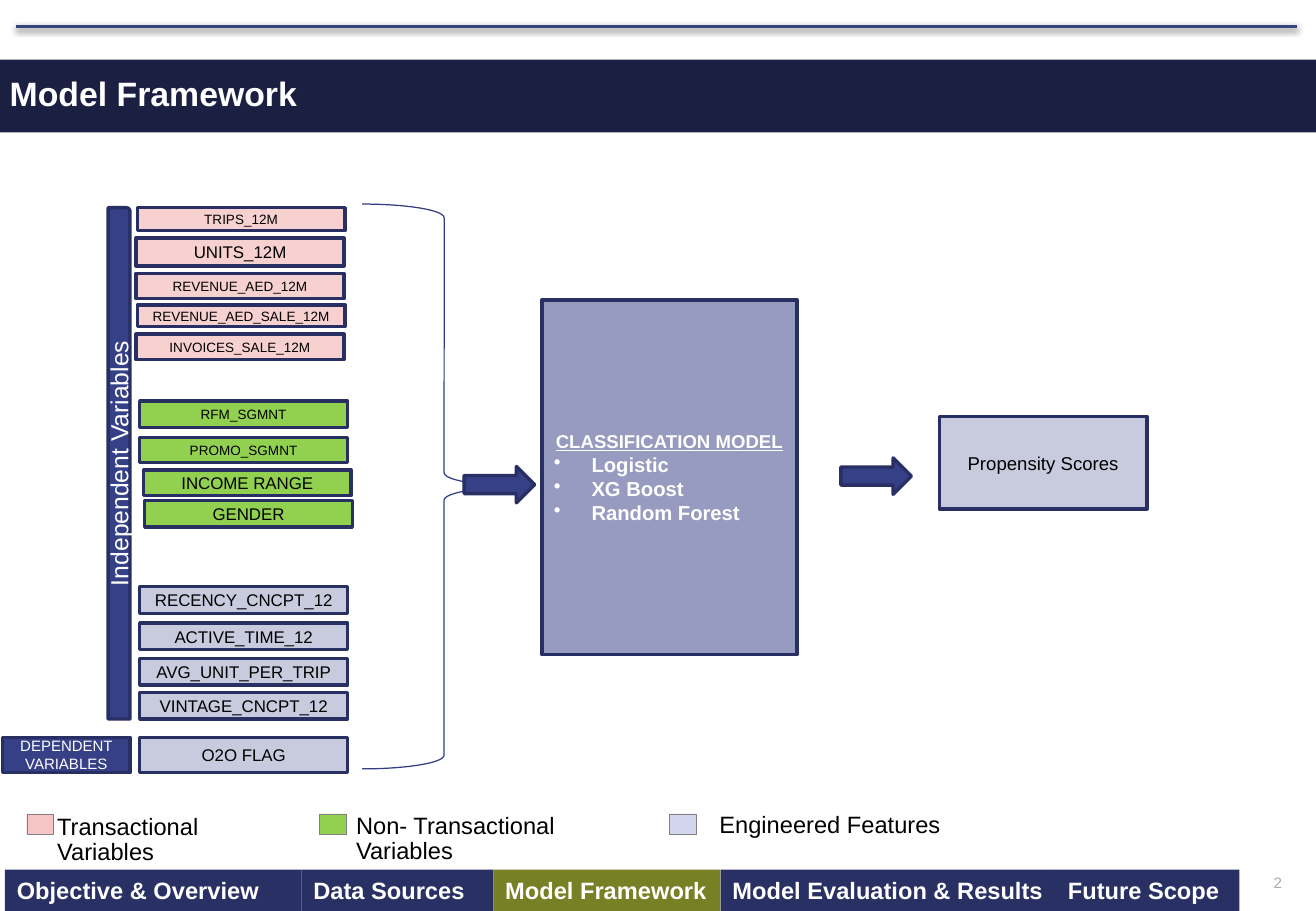
from pptx import Presentation
from pptx.dml.color import RGBColor
from pptx.enum.shapes import MSO_CONNECTOR as LINK, MSO_SHAPE as KIND
from pptx.enum.text import MSO_ANCHOR as ANCHOR, PP_ALIGN as ALIGN
from pptx.oxml import parse_xml
from pptx.oxml.ns import nsdecls
from pptx.util import Inches, Pt

WHITE = RGBColor(0xFF, 0xFF, 0xFF)
BLACK = RGBColor(0, 0, 0)
GRAY = RGBColor(0x80, 0x80, 0x80)
PALE = RGBColor(0xAD, 0xAB, 0xA1)
NIGHT = RGBColor(0x1B, 0x20, 0x43)
NAVY = RGBColor(0x29, 0x30, 0x64)
EDGE = RGBColor(0x28, 0x2F, 0x63)
BLUE = RGBColor(0x36, 0x40, 0x86)
BRACE = RGBColor(0x33, 0x3D, 0x85)
RULE = RGBColor(0x35, 0x47, 0x7A)
OLIVE = RGBColor(0x77, 0x80, 0x25)
RED = RGBColor(0xE5, 0x52, 0x52)
GREEN = RGBColor(0x92, 0xD0, 0x50)
PINK = RGBColor(0xF6, 0xC5, 0xC5)
LILAC = RGBColor(0xD1, 0xD5, 0xED)

# Fill, opacity in percent, then rows: name, left, top, height, text size
GROUPS = [
    (RED, 27, [
        ("TRIPS_12M", 1.13, 1.71, 0.19, 8),
        ("UNITS_12M", 1.12, 1.96, 0.23, 10),
        ("REVENUE_AED_12M", 1.12, 2.25, 0.21, 8),
        ("REVENUE_AED_SALE_12M", 1.13, 2.51, 0.18, 8),
        ("INVOICES_SALE_12M", 1.12, 2.75, 0.21, 8),
    ]),
    (GREEN, 100, [
        ("RFM_SGMNT", 1.15, 3.3, 0.22, 8),
        ("PROMO_SGMNT", 1.15, 3.6, 0.21, 8),
        ("INCOME RANGE", 1.18, 3.87, 0.21, 10),
        ("GENDER", 1.19, 4.12, 0.22, 10),
    ]),
    (BLUE, 27, [
        ("RECENCY_CNCPT_12", 1.15, 4.83, 0.22, 10),
        ("ACTIVE_TIME_12", 1.15, 5.13, 0.22, 10),
        ("AVG_UNIT_PER_TRIP", 1.15, 5.42, 0.22, 10),
        ("VINTAGE_CNCPT_12", 1.15, 5.7, 0.22, 10),
        ("O2O FLAG", 1.15, 6.07, 0.29, 10),
    ]),
]
MODELS = ["Logistic", "XG Boost", "Random Forest"]

# Swatch left, fill, label left, label top, label width, label
LEGEND = [
    (0.22, PINK, 0.47, 6.71, 2.01, "Transactional Variables"),
    (2.63, GREEN, 2.93, 6.7, 2.48, "Non- Transactional Variables"),
    (5.51, LILAC, 5.92, 6.69, 2.48, "Engineered Features"),
]
# Label, width, fill
TABS = [
    ("Objective & Overview", 2.44, NAVY),
    ("Data Sources", 1.58, NAVY),
    ("Model Framework", 1.87, OLIVE),
    ("Model Evaluation & Results", 2.76, NAVY),
    ("Future Scope", 1.51, NAVY),
]


def write(par, text, size=10, color=BLACK, bold=False, under=False,
          align=ALIGN.CENTER, space=None):
    """Add formatted text to a paragraph."""
    par.alignment = align
    if space:
        par.line_spacing = space
    run = par.add_run()
    run.text = text
    font = run.font
    font.name, font.size = "Arial", Pt(size)
    font.bold, font.underline = bold, under
    font.color.rgb = color


def place(shape, left, top, width, height):
    shape.left, shape.top = Inches(left), Inches(top)
    shape.width, shape.height = Inches(width), Inches(height)


def inset(frame, left=0.0, right=0.0, top=0.0, bottom=0.0):
    frame.margin_left, frame.margin_right = Inches(left), Inches(right)
    frame.margin_top, frame.margin_bottom = Inches(top), Inches(bottom)


def paint(shape, color, alpha=100):
    shape.fill.solid()
    shape.fill.fore_color.rgb = color
    if alpha < 100:
        tint = shape._element.spPr.find(".//{*}srgbClr")
        tint.append(parse_xml(
            f'<a:alpha {nsdecls("a")} val="{alpha * 1000}"/>'))


def draw(slide, area, fill=None, alpha=100, edge=EDGE, weight=2,
         kind=KIND.RECTANGLE, text="", **style):
    """Add a preset shape, with text if given."""
    shape = slide.shapes.add_shape(kind, *map(Inches, area))
    shape.shadow.inherit = False
    if fill is None:
        shape.fill.background()
    else:
        paint(shape, fill, alpha)
    if edge is None:
        shape.line.fill.background()
    else:
        shape.line.color.rgb = edge
        shape.line.width = Pt(weight)
    if text:
        frame = shape.text_frame
        frame.word_wrap = True
        frame.vertical_anchor = ANCHOR.MIDDLE
        write(frame.paragraphs[0], text, **style)
    return shape


def label(slide, area, text, anchor=ANCHOR.TOP, **style):
    """Add a text box without insets."""
    frame = slide.shapes.add_textbox(*map(Inches, area)).text_frame
    frame.word_wrap = True
    frame.vertical_anchor = anchor
    inset(frame)
    write(frame.paragraphs[0], text, **style)


def bullet(frame, text, **style):
    par = frame.add_paragraph()
    write(par, text, align=ALIGN.LEFT, **style)
    props = par._p.get_or_add_pPr()
    step = Inches(0.31)
    props.set("marL", str(step))
    props.set("indent", str(-step))
    props.append(parse_xml(f'<a:buChar {nsdecls("a")} char="•"/>'))


def header(slide):
    # Top rule with a soft shadow
    rule = slide.shapes.add_connector(
        LINK.STRAIGHT, Inches(0.13), Inches(0.22), Inches(10.67), Inches(0.22))
    rule.line.color.rgb = RULE
    rule.line.width = Pt(1.75)
    rule._element.spPr.append(parse_xml(
        f'<a:effectLst {nsdecls("a")}>'
        '<a:outerShdw blurRad="50800" dist="12700" dir="5280000">'
        '<a:srgbClr val="000000"><a:alpha val="40000"/></a:srgbClr>'
        '</a:outerShdw></a:effectLst>'))
    # Title band
    title = slide.shapes.title
    place(title, 0, 0.49, 10.83, 0.6)
    paint(title, NIGHT)
    frame = title.text_frame
    frame.vertical_anchor = ANCHOR.MIDDLE
    inset(frame, left=0.08)
    write(frame.paragraphs[0], "Model Framework", size=20, color=WHITE,
          bold=True, align=ALIGN.LEFT, space=0.9)


def inputs(slide):
    for fill, alpha, rows in GROUPS:
        for name, left, top, height, size in rows:
            draw(slide, (left, top, 1.71, height), fill, alpha,
                 text=name, size=size)
    side = draw(slide, (0.89, 1.71, 0.18, 4.21), BLUE,
                kind=KIND.ROUND_1_RECTANGLE, text="Independent Variables",
                size=14.6, color=WHITE)
    side._element.txBody.bodyPr.set("vert", "vert270")
    draw(slide, (0.02, 6.07, 1.05, 0.29), BLUE, text="DEPENDENT VARIABLES",
         size=8.9, color=WHITE)
    draw(slide, (2.98, 1.68, 1.35, 4.65), edge=BRACE, weight=0.75,
         kind=KIND.RIGHT_BRACE)


def model(slide):
    box = draw(slide, (4.46, 2.47, 2.1, 2.92), BLUE, 52,
               text="CLASSIFICATION MODEL", size=11, color=WHITE,
               bold=True, under=True)
    for name in MODELS:
        bullet(box.text_frame, name, size=12, color=WHITE, bold=True)
    draw(slide, (7.73, 3.43, 1.71, 0.76), BLUE, 27,
         text="Propensity Scores", size=11)
    for left, top in ((3.82, 3.84), (6.92, 3.77)):
        draw(slide, (left, top, 0.58, 0.3), BLUE, kind=KIND.RIGHT_ARROW)


def footer(slide):
    # Legend
    for left, fill, start, top, width, text in LEGEND:
        draw(slide, (left, 6.7, 0.22, 0.17), fill, edge=GRAY, weight=0.25)
        label(slide, (start, top, width, 0.21), text, size=14,
              align=ALIGN.LEFT, space=0.9)
    # Section tabs, side by side
    left = 0.04
    for text, width, fill in TABS:
        tab = draw(slide, (left, 7.16, width, 0.34), fill, edge=None,
                   text=text, size=14, color=WHITE, bold=True,
                   align=ALIGN.LEFT)
        inset(tab.text_frame, left=0.1)
        left += width
    # Page number
    label(slide, (10.24, 7.19, 0.31, 0.15), "2", anchor=ANCHOR.BOTTOM,
          size=9, color=PALE, align=ALIGN.RIGHT)


def main():
    deck = Presentation()
    deck.slide_width, deck.slide_height = Inches(10.83), Inches(7.5)
    slide = deck.slides.add_slide(deck.slide_layouts[5])
    header(slide)
    inputs(slide)
    model(slide)
    footer(slide)
    deck.save("out.pptx")


if __name__ == "__main__":
    main()
